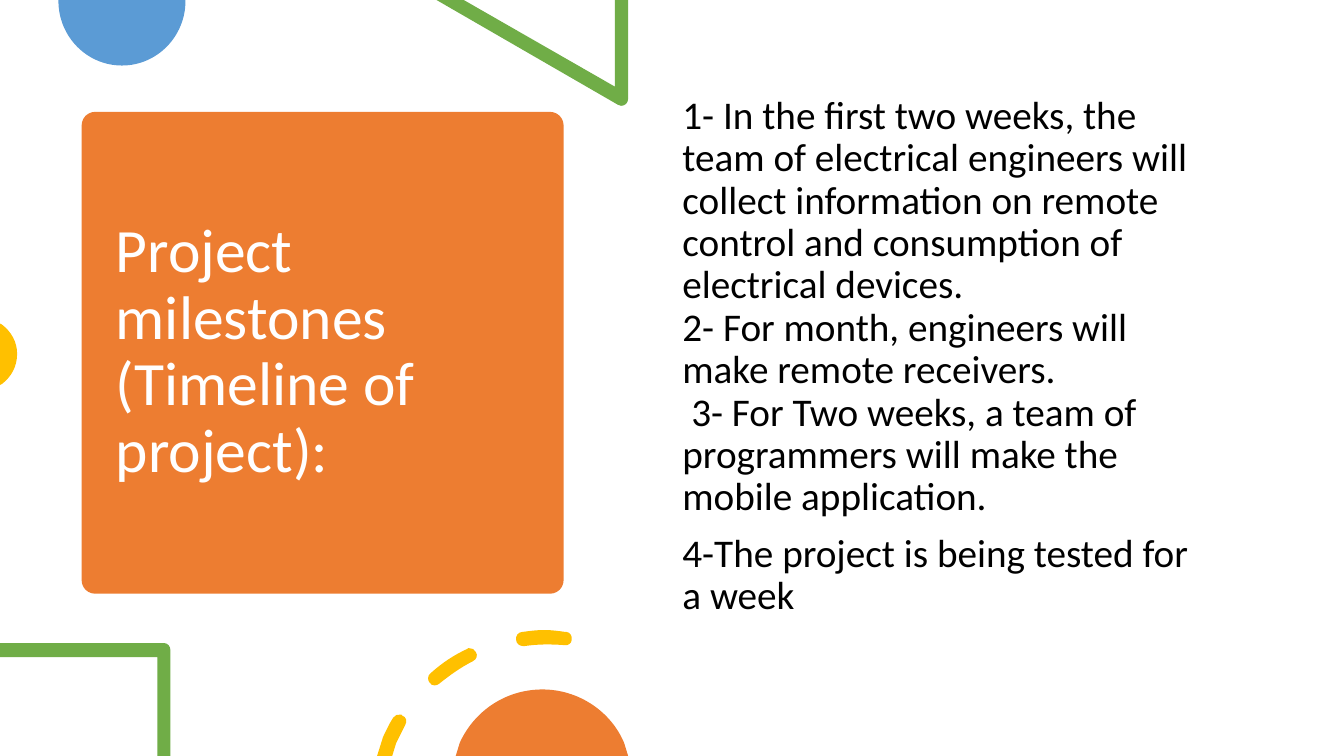
from dataclasses import dataclass

from lxml import etree
from pptx import Presentation
from pptx.dml.color import RGBColor
from pptx.enum.shapes import MSO_SHAPE
from pptx.enum.text import MSO_ANCHOR
from pptx.oxml.ns import qn
from pptx.shapes.autoshape import Shape
from pptx.slide import Slide
from pptx.util import Emu, Pt

ROUNDED = MSO_SHAPE.ROUNDED_RECTANGLE
TOP = MSO_ANCHOR.TOP
MIDDLE = MSO_ANCHOR.MIDDLE

EMU_PER_PX = 9144
INSET = 10
FONT = "Calibri"
ORANGE = "ED7D31"
BLUE = "5B9BD5"
GREEN = "70AD47"
YELLOW = "FFC000"
WHITE = "FFFFFF"
BLACK = "000000"

Contour = list[tuple[int, ...]]


@dataclass(frozen=True)
class Box:
    left: int
    top: int
    width: int
    height: int


@dataclass(frozen=True)
class Ornament:
    colour: str
    contours: list[Contour]


@dataclass(frozen=True)
class Passage:
    text: str
    space_before: float


CARD = Box(81, 111, 478, 478)
TITLE = Box(105, 122, 431, 456)
TIMELINE = Box(667, 90, 575, 535)

BLUE_DISC = Ornament(BLUE, [[
    (184, 0), (58, 0), (58, 1),
    (58, 36, 86, 65, 121, 65), (156, 65, 184, 36, 184, 1),
]])
GREEN_TRIANGLE = Ornament(GREEN, [[
    (623, 0), (610, 0), (610, 86), (460, 0), (433, 0), (613, 104),
    (614, 105, 615, 105, 616, 105), (620, 105, 623, 102, 623, 98),
]])
YELLOW_DISC = Ornament(YELLOW, [[
    (0, 321), (0, 382), (2, 381),
    (11, 374, 17, 364, 17, 351), (17, 339, 11, 329, 2, 322),
]])
GREEN_CORNER = Ornament(GREEN, [[
    (163, 638), (0, 638), (0, 652), (156, 652), (156, 750), (169, 750),
    (169, 645), (169, 641, 166, 638, 163, 638),
]])
DASHED_RING = Ornament(YELLOW, [
    [
        (397, 709), (394, 708, 392, 710, 390, 712),
        (386, 718, 383, 725, 380, 731), (374, 750), (389, 750), (393, 737),
        (396, 731, 399, 725, 402, 719), (404, 716, 403, 711, 399, 710),
        (399, 709, 398, 709, 397, 709),
    ],
    [
        (465, 643), (465, 643, 464, 643, 463, 644),
        (450, 650, 438, 658, 427, 668), (424, 670, 424, 675, 426, 677),
        (427, 679, 429, 680, 431, 680), (431, 680),
        (433, 680, 435, 679, 436, 678), (446, 670, 457, 662, 469, 656),
        (473, 654, 474, 650, 472, 647), (471, 644, 468, 643, 465, 643),
    ],
    [
        (540, 625), (532, 625, 525, 626, 518, 627),
        (514, 627, 511, 631, 512, 635), (512, 638, 515, 641, 519, 641),
        (519, 641, 519, 641, 520, 641), (533, 639, 546, 639, 560, 640),
        (563, 641, 567, 638, 567, 635), (568, 631, 565, 627, 562, 627),
        (562, 627, 561, 627, 561, 627), (554, 626, 547, 625, 540, 625),
    ],
])
ORANGE_DISC = Ornament(ORANGE, [[
    (538, 684), (501, 684, 470, 706, 456, 737), (452, 750), (623, 750),
    (619, 737), (606, 706, 574, 684, 538, 684),
]])
ORNAMENTS = [BLUE_DISC, GREEN_TRIANGLE, YELLOW_DISC,
             GREEN_CORNER, DASHED_RING, ORANGE_DISC]

HEADING = [Passage("Project milestones (Timeline of project):", 0)]
MILESTONES = [
    Passage("1- In the first two weeks, the team of electrical engineers will "
            "collect information on remote control and consumption of "
            "electrical devices.", 2.7),
    Passage("2- For month, engineers will make remote receivers.", 0.1),
    Passage(" 3- For Two weeks, a team of programmers will make the mobile "
            "application.", 0.1),
    Passage("4-The project is being tested for a week", 10),
]


def px(length: int) -> Emu:
    return Emu(length * EMU_PER_PX)


def rgb(colour: str) -> RGBColor:
    return RGBColor.from_string(colour)


def paint(shape: Shape, colour: str) -> None:
    shape.shadow.inherit = False
    shape.fill.solid()
    shape.fill.fore_color.rgb = rgb(colour)
    shape.line.fill.background()


def place(box: Box) -> tuple[Emu, Emu, Emu, Emu]:
    return px(box.left), px(box.top), px(box.width), px(box.height)


def vertices(contour: Contour) -> list[tuple[int, int]]:
    return [pair for step in contour for pair in zip(step[::2], step[1::2])]


def bend(shape: Shape, contours: list[Contour]) -> None:
    segments = iter(list(shape.element.iter(qn("a:lnTo"))))
    for contour in contours:
        for step in contour[1:]:
            corners = [next(segments) for _ in range(len(step) // 2)]
            if len(corners) == 1:
                continue
            curve = etree.Element(qn("a:cubicBezTo"))
            corners[0].addprevious(curve)
            for corner in corners:
                curve.append(corner[0])
                corner.getparent().remove(corner)


def add_ornament(slide: Slide, ornament: Ornament) -> None:
    first, *others = [vertices(contour) for contour in ornament.contours]
    builder = slide.shapes.build_freeform(*first[0], scale=EMU_PER_PX)
    builder.add_line_segments(first[1:], close=True)
    for outline in others:
        builder.move_to(*outline[0])
        builder.add_line_segments(outline[1:], close=True)
    shape = builder.convert_to_shape()
    bend(shape, ornament.contours)
    paint(shape, ornament.colour)


def add_text(slide: Slide, box: Box, passages: list[Passage], *,
             size: int, colour: str, anchor: MSO_ANCHOR = TOP,
             right_inset: int = INSET) -> None:
    frame = slide.shapes.add_textbox(*place(box)).text_frame
    frame.word_wrap = True
    frame.vertical_anchor = anchor
    frame.margin_right = px(right_inset)
    for index, passage in enumerate(passages):
        paragraph = frame.add_paragraph() if index else frame.paragraphs[0]
        paragraph.line_spacing = 0.9
        paragraph.space_before = Pt(passage.space_before)
        run = paragraph.add_run()
        run.text = passage.text
        run.font.name = FONT
        run.font.size = Pt(size)
        run.font.color.rgb = rgb(colour)


def main() -> None:
    presentation = Presentation()
    presentation.slide_width = px(1333)
    presentation.slide_height = px(750)
    slide = presentation.slides.add_slide(presentation.slide_layouts[6])

    card = slide.shapes.add_shape(ROUNDED, *place(CARD))
    card.adjustments[0] = 0.028
    paint(card, ORANGE)
    add_text(slide, TITLE, HEADING, size=44, colour=WHITE, anchor=MIDDLE)
    for ornament in ORNAMENTS:
        add_ornament(slide, ornament)
    add_text(slide, TIMELINE, MILESTONES, size=28, colour=BLACK, right_inset=52)

    presentation.save("out.pptx")


if __name__ == "__main__":
    main()
